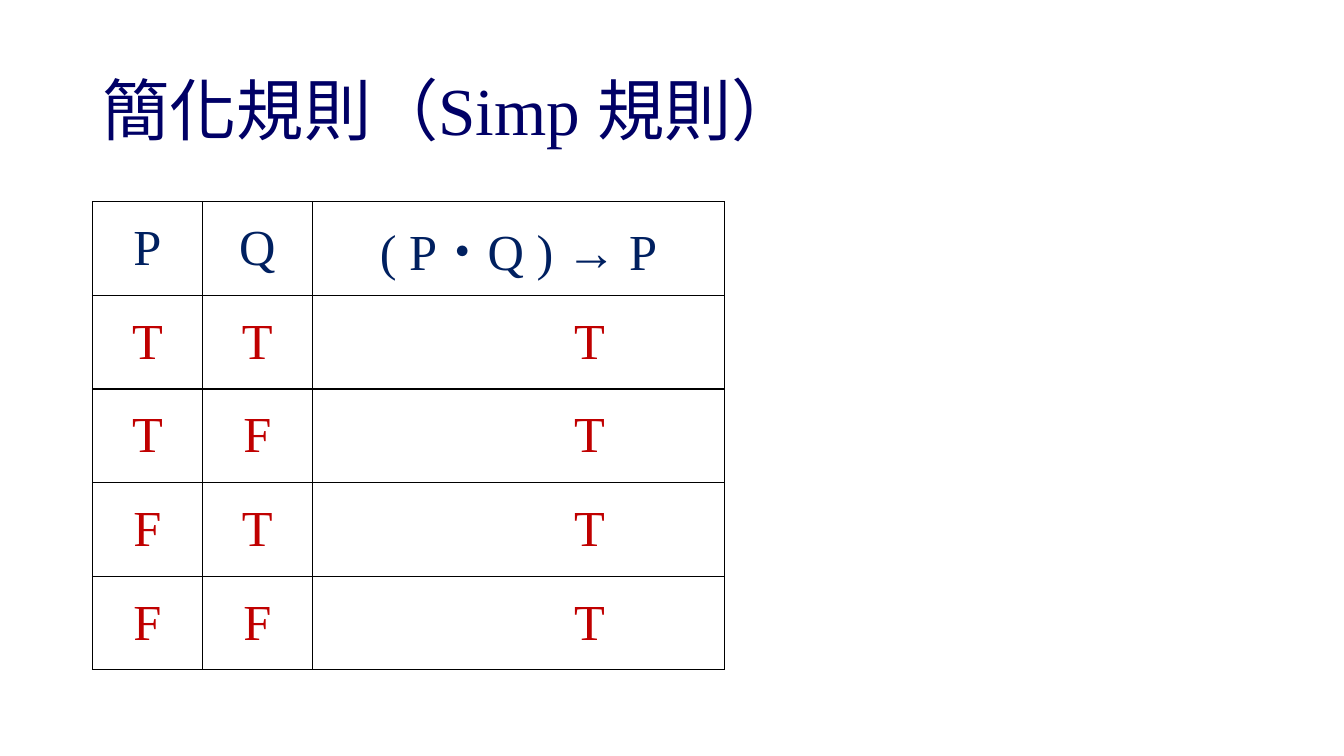
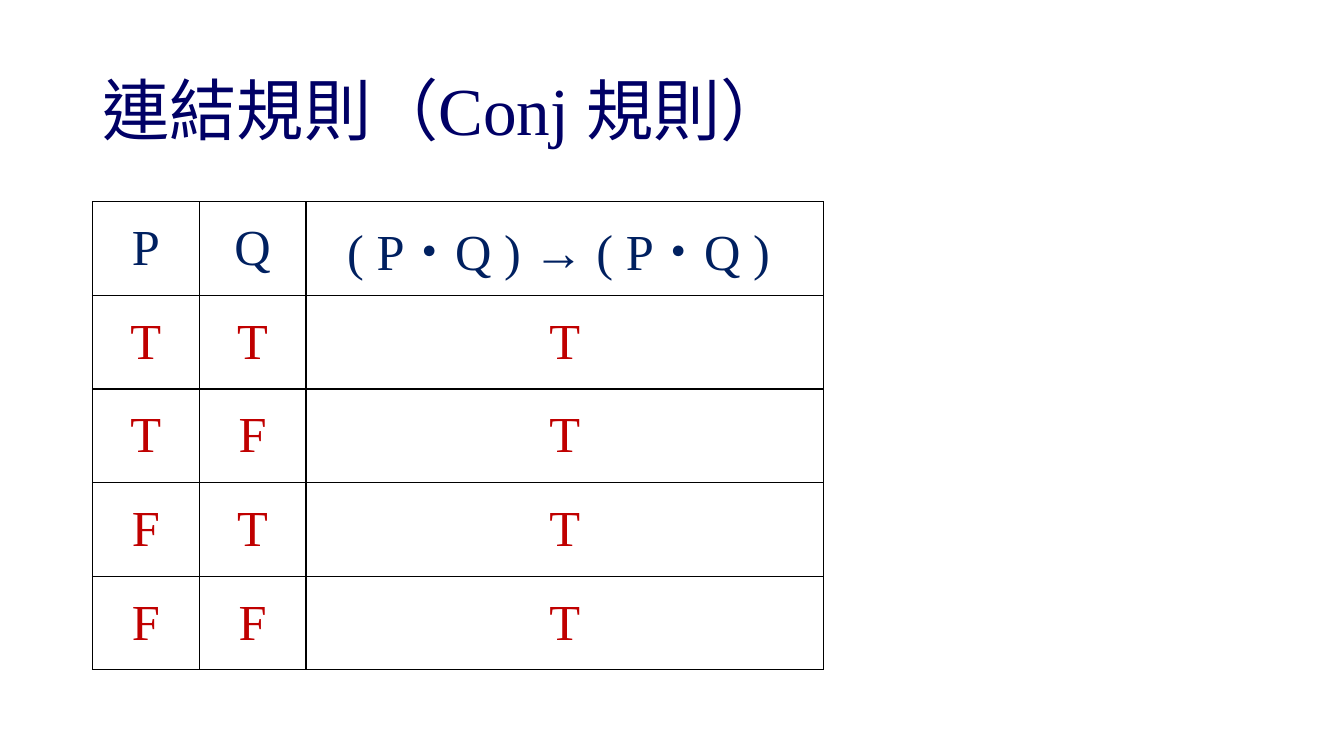
from dataclasses import dataclass
from itertools import product

from lxml.etree import SubElement
from pptx import Presentation
from pptx.dml.color import RGBColor
from pptx.enum.lang import MSO_LANGUAGE_ID
from pptx.enum.text import MSO_ANCHOR, MSO_AUTO_SIZE, PP_ALIGN
from pptx.oxml.ns import qn
from pptx.util import Cm, Pt

RULES = [
    {
        "title": "簡化規則（Simp 規則）",
        "formula": "( P・Q ) → P",
        "widths": (2.77, 2.77, 10.39),
        "result_indent": 6.6,
    },
    {
        "title": "連結規則（Conj 規則）",
        "formula": "( P・Q ) → ( P・Q ) ",
        "widths": (2.69, 2.69, 13.05),
        "result_indent": None,
    },
]
TRUTH_ROWS = [(p, q, "T") for p, q in product("TF", repeat=2)]


@dataclass(frozen=True)
class Theme:
    font: str = "Times New Roman"
    title_color: str = "000066"
    head_color: str = "002060"
    value_color: str = "C00000"
    border_color: str = "000000"
    title_size: int = 48
    cell_size: int = 36
    border_width: int = 1


THEME = Theme()
LEFT = Cm(2.33)
TABLE_TOP = Cm(5.08)
ROW_HEIGHT = Cm(2.36)


def add_run(p, text, size, color):
    r = p.add_run()
    r.text = text
    r.font.name = THEME.font
    r.font.size = Pt(size)
    r.font.color.rgb = RGBColor.from_string(color)
    r.font.language_id = MSO_LANGUAGE_ID.TRADITIONAL_CHINESE


def add_borders(cell):
    tc_pr = cell._tc.get_or_add_tcPr()
    for side in ("a:lnL", "a:lnR", "a:lnT", "a:lnB"):
        ln = SubElement(tc_pr, qn(side), w=str(Pt(THEME.border_width)))
        fill = SubElement(ln, qn("a:solidFill"))
        SubElement(fill, qn("a:srgbClr"), val=THEME.border_color)


def fill_cell(cell, text, color, indent=None):
    add_borders(cell)
    cell.fill.background()
    cell.vertical_anchor = MSO_ANCHOR.MIDDLE
    p = cell.text_frame.paragraphs[0]
    p.alignment = PP_ALIGN.CENTER
    if indent is not None:
        p.alignment = PP_ALIGN.LEFT
        cell.margin_left = Cm(indent)
    add_run(p, text, THEME.cell_size, color)


def format_layout(layout):
    sp = layout.placeholders[0]
    sp.left, sp.top, sp.width, sp.height = LEFT, Cm(1.02), Cm(29.21), Cm(3.68)
    sp.text_frame.vertical_anchor = MSO_ANCHOR.MIDDLE
    sp.text_frame.auto_size = MSO_AUTO_SIZE.NONE


def add_title(slide, text):
    p = slide.shapes.title.text_frame.paragraphs[0]
    p.alignment = PP_ALIGN.LEFT
    p.line_spacing = 0.9
    add_run(p, text, THEME.title_size, THEME.title_color)


def add_truth_table(slide, rule):
    rows = [("P", "Q", rule["formula"])] + TRUTH_ROWS
    widths = [Cm(w) for w in rule["widths"]]
    table = slide.shapes.add_table(
        len(rows), len(widths), LEFT, TABLE_TOP, sum(widths), ROW_HEIGHT * len(rows)
    ).table
    table.horz_banding = False
    table.first_row = False
    for column, width in zip(table.columns, widths):
        column.width = width
    for i, row in enumerate(rows):
        table.rows[i].height = ROW_HEIGHT
        color = THEME.value_color if i else THEME.head_color
        for j, text in enumerate(row):
            is_result = i > 0 and j == len(row) - 1
            indent = rule["result_indent"] if is_result else None
            fill_cell(table.cell(i, j), text, color, indent)


def main():
    prs = Presentation()
    prs.slide_width, prs.slide_height = Cm(33.87), Cm(19.05)
    layout = prs.slide_layouts[5]
    format_layout(layout)
    for rule in RULES:
        slide = prs.slides.add_slide(layout)
        add_title(slide, rule["title"])
        add_truth_table(slide, rule)
    prs.save("out.pptx")


if __name__ == "__main__":
    main()
